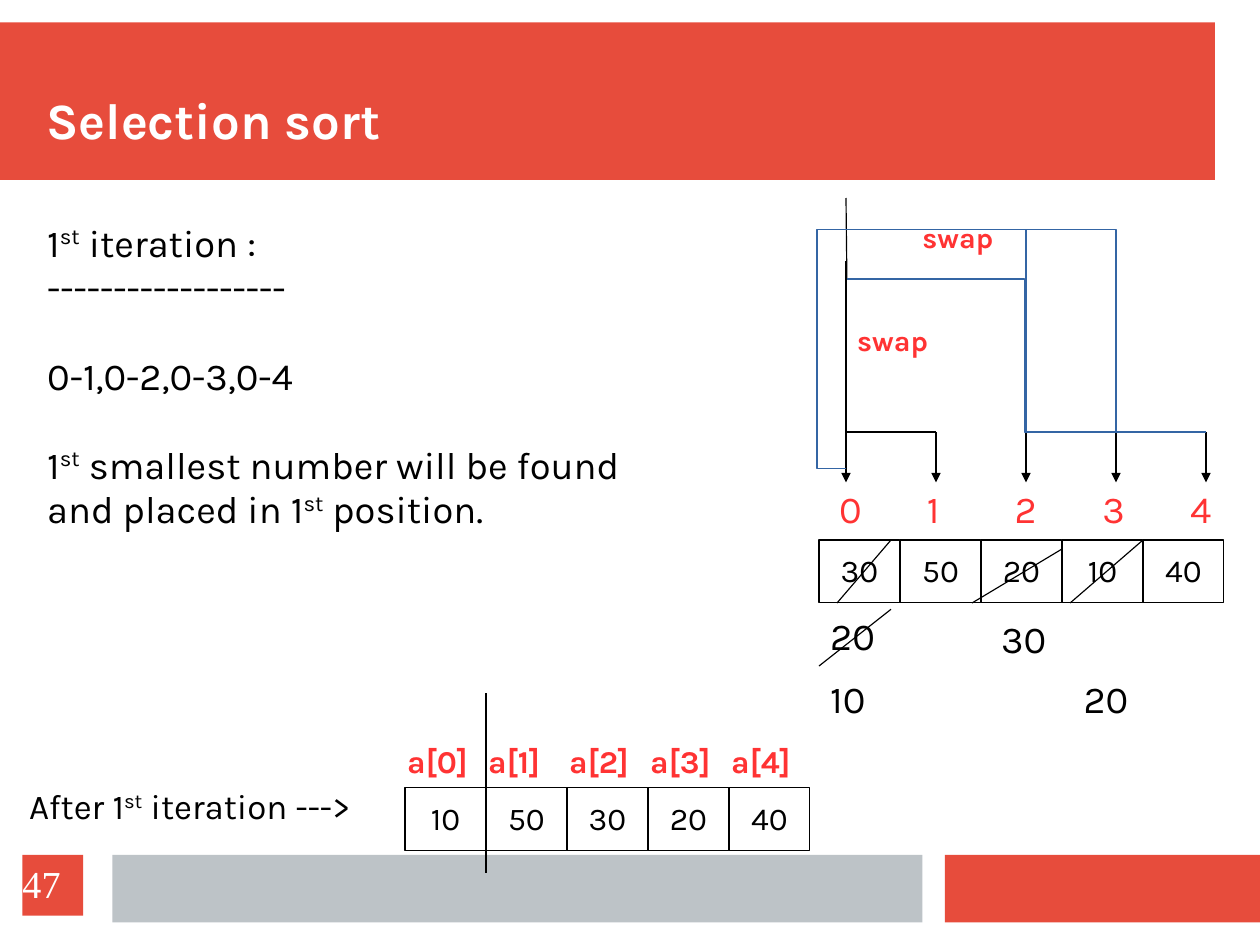
from dataclasses import dataclass
from typing import NamedTuple, Optional

from lxml import etree
from pptx import Presentation
from pptx.dml.color import RGBColor
from pptx.enum.shapes import MSO_CONNECTOR, MSO_SHAPE
from pptx.enum.text import MSO_ANCHOR, PP_ALIGN
from pptx.oxml.ns import qn
from pptx.util import Cm, Pt

STRAIGHT, ELBOW = MSO_CONNECTOR.STRAIGHT, MSO_CONNECTOR.ELBOW
RECTANGLE = MSO_SHAPE.RECTANGLE
TOP, MIDDLE, BOTTOM = MSO_ANCHOR.TOP, MSO_ANCHOR.MIDDLE, MSO_ANCHOR.BOTTOM
LEFT, CENTER = PP_ALIGN.LEFT, PP_ALIGN.CENTER


@dataclass(frozen=True)
class Theme:
    red: RGBColor = RGBColor(0xE7, 0x4C, 0x3C)
    grey: RGBColor = RGBColor(0xBD, 0xC3, 0xC7)
    mark: RGBColor = RGBColor(0xFF, 0x33, 0x33)
    blue: RGBColor = RGBColor(0x34, 0x65, 0xA4)
    black: RGBColor = RGBColor(0, 0, 0)
    white: RGBColor = RGBColor(255, 255, 255)
    font: str = "Karla"
    number_font: str = "Times New Roman"
    title: int = 32
    body: int = 24
    result: int = 22
    cell: int = 20
    swap: int = 18
    line_width: float = 0.75
    line_spacing: float = 0.97
    paragraph_gap: int = 28


THEME = Theme()


class Box(NamedTuple):
    left: float
    top: float
    width: float
    height: float


class Style(NamedTuple):
    size: int
    color: RGBColor = THEME.black
    bold: bool = False
    font: str = THEME.font
    align: PP_ALIGN = LEFT
    anchor: MSO_ANCHOR = TOP
    inset: bool = True


class Piece(NamedTuple):
    text: str
    raised: bool = False


class Line(NamedTuple):
    pieces: list[Piece]
    gap: int = 0


class Label(NamedTuple):
    text: str
    box: Box
    style: Style


class Stroke(NamedTuple):
    x1: float
    y1: float
    x2: float
    y2: float
    arrow: bool = False


class SwapPath(NamedTuple):
    x1: float
    y1: float
    x2: float
    y2: float
    via_x: float
    via_y: Optional[float] = None


ORDINAL = [Piece("1"), Piece("st", True)]
CELL = Style(THEME.cell, align=CENTER, anchor=MIDDLE)
INDEX = Style(THEME.body, THEME.mark)
NAME = Style(THEME.cell, THEME.mark, True)
SWAP = Style(THEME.swap, THEME.mark, True)
BODY = Style(THEME.body)
CELL_WIDTH, CELL_HEIGHT = 1.8, 1.4
ARROW_X = [18.8 + 2 * i for i in range(5)]
ARROW_TOP, ARROW_END = 9.6, 10.72
SWAP_START = 10.41

BARS = [
    (Box(0, 0.5, 27, 3.5), THEME.red),
    (Box(21, 19, 7, 1.5), THEME.red),
    (Box(2.5, 19, 18, 1.5), THEME.grey),
]
EXPLANATION = [
    Line(ORDINAL + [Piece(" iteration :")]),
    Line([Piece("------------------")]),
    Line([Piece("0-1,0-2,0-3,0-4")], THEME.paragraph_gap),
    Line(ORDINAL + [Piece(" smallest number will be found")], THEME.paragraph_gap),
    Line([Piece("and placed in 1"), Piece("st", True), Piece(" position.")]),
]
RESULT = [Line([Piece("After 1"), Piece("st", True), Piece(" iteration --->")])]
LABELS = [
    *(Label(str(i), Box(18.4 + 1.95 * i, 10.72, 1.04, 1.27), INDEX) for i in range(5)),
    *(Label(f"a[{i}]", Box(8.8 + CELL_WIDTH * i, 16.4, 2.1, 1.1), NAME) for i in range(5)),
    Label("swap", Box(20.25, 4.8, 2.34, 1.02), SWAP),
    Label("swap", Box(18.8, 7.09, 2.34, 1.02), SWAP),
    Label("20", Box(18.2, 13.54, 1.57, 1.27), BODY),
    Label("30", Box(22, 13.6, 1.57, 1.27), BODY),
    Label("10", Box(18.2, 14.93, 1.57, 1.27), BODY),
    Label("20", Box(23.83, 14.93, 1.57, 1.27), BODY),
]
STROKES = [
    Stroke(ARROW_X[0], ARROW_TOP, ARROW_X[1], ARROW_TOP),
    *(Stroke(x, ARROW_TOP, x, ARROW_END, True) for x in ARROW_X),
    Stroke(10.8, 15.4, 10.8, 19.4),
    Stroke(18.8, SWAP_START, 18.8, 5.8),
    Stroke(18.82, 6.22, 18.8, 4.4),
    Stroke(19.8, 12, 18.6, 13.4),
    Stroke(23.6, 12.2, 21.6, 13.4),
    Stroke(19.8, 13.54, 18.2, 14.8),
    Stroke(25.4, 12, 23.78, 13.4),
]
SWAP_PATHS = [
    SwapPath(ARROW_X[0], SWAP_START, ARROW_X[2], ARROW_TOP, 18.16, 5.1),
    SwapPath(ARROW_X[0], SWAP_START, ARROW_X[3], ARROW_TOP, 18.16, 5.1),
    SwapPath(18.82, 6.2, ARROW_X[4], ARROW_TOP, 22.76),
]


def write(frame, lines: list[Line], style: Style) -> None:
    frame.word_wrap = False
    frame.vertical_anchor = style.anchor
    side, end = (Cm(0.25), Cm(0.13)) if style.inset else (0, 0)
    frame.margin_left = frame.margin_right = side
    frame.margin_top = frame.margin_bottom = end
    for number, line in enumerate(lines):
        paragraph = frame.add_paragraph() if number else frame.paragraphs[0]
        paragraph.alignment = style.align
        paragraph.line_spacing = THEME.line_spacing
        if line.gap:
            paragraph.space_before = Pt(line.gap)
        for piece in line.pieces:
            run = paragraph.add_run()
            run.text = piece.text
            run.font.name, run.font.size = style.font, Pt(style.size)
            run.font.bold = style.bold
            run.font.color.rgb = style.color
            if piece.raised:
                run.font._element.set("baseline", "33000")


def add_text(slide, box: Box, lines: list[Line], style: Style) -> None:
    write(slide.shapes.add_textbox(*map(Cm, box)).text_frame, lines, style)


def add_block(slide, box: Box, fill: RGBColor, outline: Optional[RGBColor] = None):
    block = slide.shapes.add_shape(RECTANGLE, *map(Cm, box))
    block.shadow.inherit = False
    block.fill.solid()
    block.fill.fore_color.rgb = fill
    if outline is None:
        block.line.fill.background()
    else:
        block.line.color.rgb = outline
        block.line.width = Pt(THEME.line_width)
    return block


def add_array(slide, left: float, top: float, values: list[int]) -> None:
    for i, value in enumerate(values):
        box = Box(left + CELL_WIDTH * i, top, CELL_WIDTH, CELL_HEIGHT)
        cell = add_block(slide, box, THEME.white, THEME.black)
        write(cell.text_frame, [Line([Piece(str(value))])], CELL)


def add_line(slide, kind: MSO_CONNECTOR, ends: tuple, color: RGBColor):
    line = slide.shapes.add_connector(kind, *map(Cm, ends))
    line.line.color.rgb = color
    line.line.width = Pt(THEME.line_width)
    etree.SubElement(line.element.spPr, qn("a:effectLst"))
    return line


def add_stroke(slide, stroke: Stroke) -> None:
    line = add_line(slide, STRAIGHT, stroke[:4], THEME.black)
    if stroke.arrow:
        outline = line.element.spPr.find(qn("a:ln"))
        etree.SubElement(outline, qn("a:tailEnd"), type="triangle")


def add_swap_path(slide, route: SwapPath) -> None:
    properties = add_line(slide, ELBOW, route[:4], THEME.blue).element.spPr
    bends = [(route.via_x - route.x1) / (route.x2 - route.x1)]
    geometry = properties.find(qn("a:prstGeom"))
    if route.via_y is not None:
        bends.append((route.via_y - route.y1) / (route.y2 - route.y1))
        geometry.set("prst", "bentConnector4")
        frame = properties.find(qn("a:xfrm"))
        frame.attrib.pop("flipV", None)
        frame.set("rot", "10800000")
        frame.set("flipH", "1")
    guides = geometry.find(qn("a:avLst"))
    for number, bend in enumerate(bends, 1):
        etree.SubElement(guides, qn("a:gd"), name=f"adj{number}", fmla=f"val {round(bend * 100000)}")


def main() -> None:
    deck = Presentation()
    deck.slide_width, deck.slide_height = Cm(28), Cm(21)
    slide = deck.slides.add_slide(deck.slide_layouts[6])
    for box, fill in BARS:
        add_block(slide, box, fill)
    heading = Style(THEME.title, THEME.white, True, anchor=BOTTOM, inset=False)
    add_text(slide, Box(1.03, 1, 25.6, 2.36), [Line([Piece("Selection sort")])], heading)
    add_array(slide, 18.2, 12, [30, 50, 20, 10, 40])
    add_array(slide, 9, 17.5, [10, 50, 30, 20, 40])
    add_text(slide, Box(0.8, 4.8, 14.17, 7.2), EXPLANATION, BODY)
    add_text(slide, Box(0.4, 17.37, 10.72, 1.2), RESULT, Style(THEME.result))
    for label in LABELS:
        add_text(slide, label.box, [Line([Piece(label.text)])], label.style)
    for stroke in STROKES:
        add_stroke(slide, stroke)
    for route in SWAP_PATHS:
        add_swap_path(slide, route)
    badge = add_block(slide, Box(0.5, 19, 1.35, 1.35), THEME.red)
    number = Style(THEME.body, THEME.white, font=THEME.number_font, anchor=MIDDLE, inset=False)
    write(badge.text_frame, [Line([Piece("47")])], number)
    deck.save("out.pptx")


if __name__ == "__main__":
    main()
